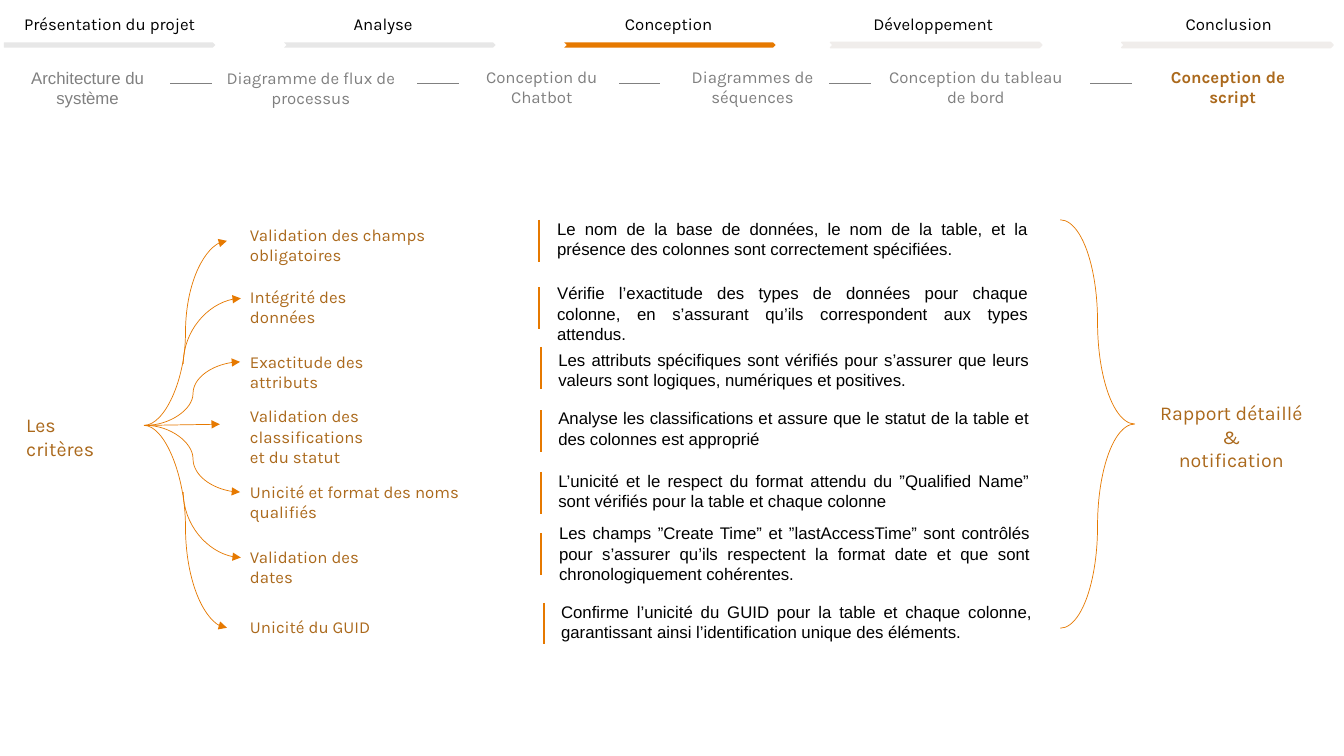
from lxml import etree
from pptx import Presentation
from pptx.dml.color import RGBColor
from pptx.enum.shapes import MSO_CONNECTOR as CX, MSO_SHAPE as SH
from pptx.enum.text import MSO_ANCHOR, MSO_AUTO_SIZE, PP_ALIGN
from pptx.oxml.ns import qn
from pptx.util import Cm, Pt

# Content (lengths in cm)
COLORS = {"orange": "E67900", "brown": "AB691C", "grey": "808080",
          "black": "000000", "bar": "E7E7E7", "pale": "F0EDEB"}
LEFT, CENTER, JUST = PP_ALIGN.LEFT, PP_ALIGN.CENTER, PP_ALIGN.JUSTIFY

# title, title left, title width, bar left, bar shape, bar colour, outlined
TABS = [
    ("Présentation du projet", 0.25, 5.03, 0.1, SH.PENTAGON, "bar", False),
    ("Analyse", 7.14, 5.03, 7.16, SH.CHEVRON, "bar", False),
    ("Conception", 13.69, 6.32, 14.22, SH.CHEVRON, "orange", False),
    ("Développement", 21.08, 4.88, 20.93, SH.CHEVRON, "pale", True),
    ("Conclusion", 28.45, 5.03, 28.27, SH.CHEVRON, "pale", True),
]

# lines, box, font, rounded
STEPS = [
    (["Architecture du", "système"], (-1.09, 1.88, 6.6, 0.66), "Arial", True),
    (["Diagramme de flux de processus"], (4.8, 1.85, 6.07, 0.71), "Karla", True),
    (["Conception du", "Chatbot"], (11.18, 1.9, 4.95, 0.56), "Karla", True),
    (["Diagrammes de", "séquences"], (17.15, 1.55, 3.63, 1.27), "Karla", False),
    (["Conception du tableau de bord"], (22.07, 1.55, 5.05, 1.27), "Karla", False),
]
CURRENT_STEP = ["Conception de", "script"]
STEP_GAPS = [4.29, 10.52, 15.6, 20.9, 27.48]

# label lines, label top, label width, rule left, rule top,
# description left, description top, description
CRITERIA = [
    (["Validation des champs obligatoires"], 5.54, 7.06, 13.59, 5.54, 13.79, 5.38,
     "Le nom de la base de données, le nom de la table, et la présence des "
     "colonnes sont correctement spécifiées."),
    (["Intégrité des données"], 7.09, 4.6, 13.59, 7.24, 13.79, 7.01,
     "Vérifie l’exactitude des types de données pour chaque colonne, en "
     "s’assurant qu’ils correspondent aux types attendus."),
    (["Exactitude des attributs"], 8.74, 4.95, 13.64, 8.74, 13.82, 8.69,
     "Les attributs spécifiques sont vérifiés pour s’assurer que leurs valeurs "
     "sont logiques, numériques et positives."),
    (["Validation des classifications", "et du statut"], 10.11, 6.02,
     13.64, 10.34, 13.82, 10.16,
     "Analyse les classifications et assure que le statut de la table et des "
     "colonnes est approprié"),
    (["Unicité et format des noms qualifiés"], 12.01, 7.26, 13.64, 11.89, 13.82, 11.73,
     "L’unicité et le respect du format attendu du ”Qualified Name” sont "
     "vérifiés pour la table et chaque colonne"),
    (["Validation des dates"], 13.64, 4.32, 13.64, 13.44, 13.84, 13.06,
     "Les champs ”Create Time” et ”lastAccessTime” sont contrôlés pour "
     "s’assurer qu’ils respectent la format date et que sont chronologiquement "
     "cohérentes."),
    (["Unicité du GUID"], 15.42, 3.61, 13.72, 15.19, 13.89, 15.04,
     "Confirme l’unicité du GUID pour la table et chaque colonne, garantissant "
     "ainsi l’identification unique des éléments."),
]

# kind, start, end, quarter-curve rotation in degrees
ARROWS = [
    (CX.CURVE, (3.63, 10.72), (5.72, 6.07), None),
    (CX.CURVE, (3.63, 10.72), (5.72, 15.82), None),
    (CX.CURVE, (3.68, 10.72), (6.05, 12.4), None),
    (CX.CURVE, (3.68, 10.72), (6.05, 9.12), None),
    (CX.STRAIGHT, (3.63, 10.72), (5.54, 10.69), None),
    (CX.CURVE, (6.17, 12.5), (4.52, 13.95), 270),
    (CX.CURVE, (6.17, 9.07), (4.52, 7.62), 90),
]

prs = Presentation()
prs.slide_width, prs.slide_height = Cm(33.87), Cm(19.05)
s = prs.slides.add_slide(prs.slide_layouts[6])


def rgb(name):
    return RGBColor.from_string(COLORS[name])


def add_shape(kind, box, fill=None, line=None, width=1):
    sp = s.shapes.add_shape(kind, *map(Cm, box))
    sp.shadow.inherit = False
    if fill:
        sp.fill.solid()
        sp.fill.fore_color.rgb = rgb(fill)
    else:
        sp.fill.background()
    if line:
        sp.line.color.rgb = rgb(line)
        sp.line.width = Pt(width)
    else:
        sp.line.fill.background()
    return sp


def write(sp, lines, color, font="Karla", size=12, aligns=(CENTER,), bold=False):
    """Fill a shape; the last alignment serves all remaining lines."""
    tf = sp.text_frame
    for i, line in enumerate(lines):
        p = tf.paragraphs[0] if i == 0 else tf.add_paragraph()
        p.alignment = aligns[min(i, len(aligns) - 1)]
        r = p.add_run()
        r.text = line
        r.font.name, r.font.size, r.font.bold = font, Pt(size), bold
        r.font.color.rgb = rgb(color)


def add_text(box, lines, color, wrap=True, **style):
    sp = s.shapes.add_textbox(*map(Cm, box))
    sp.text_frame.word_wrap = wrap
    sp.text_frame.auto_size = MSO_AUTO_SIZE.SHAPE_TO_FIT_TEXT
    write(sp, lines, color, **style)


def add_line(kind, start, end, color, width):
    cx = s.shapes.add_connector(kind, *map(Cm, start + end))
    cx.line.color.rgb = rgb(color)
    cx.line.width = Pt(width)
    etree.SubElement(cx._element.spPr, qn("a:effectLst"))
    return cx


# Section tabs
for title, left, width, bar_left, kind, color, outlined in TABS:
    add_shape(kind, (bar_left, 1.07, 5.33, 0.13), color, color if outlined else None)
    add_text((left, 0.23, width, 0.76), [title], "black")

# Steps of the current section
for lines, box, font, rounded in STEPS:
    if rounded:
        sp = add_shape(SH.ROUNDED_RECTANGLE, box)
        sp.text_frame.word_wrap = True
        sp.text_frame.vertical_anchor = MSO_ANCHOR.MIDDLE
        write(sp, lines, "grey", font)
    else:
        add_text(box, lines, "grey", font=font)
add_text((29.26, 1.55, 3.61, 1.27), CURRENT_STEP, "brown",
         aligns=(LEFT, CENTER), bold=True)
for x in STEP_GAPS:
    add_line(CX.STRAIGHT, (x, 2.11), (x + 1.04, 2.11), "grey", 0.5)

# Arrows from the hub to each criterion
add_text((0.41, 10.29, 3.07, 0.86), ["Les critères"], "brown", wrap=False,
         size=14, aligns=(LEFT,))
for kind, start, end, turn in ARROWS:
    cx = add_line(kind, start, end, "orange", 0.5)
    etree.SubElement(cx.line._get_or_add_ln(), qn("a:tailEnd"), type="triangle")
    if turn:
        cx._element.spPr.find(qn("a:xfrm")).set("rot", str(turn * 60000))
        cx._element.spPr.find(qn("a:prstGeom")).set("prst", "curvedConnector2")

# Criteria and their descriptions
for label, top, width, rule_x, rule_y, desc_x, desc_y, desc in CRITERIA:
    add_text((6.05, top, width, 0.76), label, "brown", wrap=label != ["Unicité du GUID"],
             aligns=(LEFT,))
    add_line(CX.STRAIGHT, (rule_x, rule_y), (rule_x, rule_y + 1.05), "orange", 1.5)
    add_text((desc_x, desc_y, 12.38, 1.27), [desc], "black", font="Arial", aligns=(JUST,))

# Brace and outcome
brace = add_shape(SH.RIGHT_BRACE, (26.72, 5.54, 1.88, 10.29), line="orange", width=0.5)
brace.adjustments[0], brace.adjustments[1] = 2.6, 0.5
add_text((28.8, 9.98, 4.47, 1.45), ["Rapport détaillé &", "notification"], "brown", size=14)

prs.save("out.pptx")
